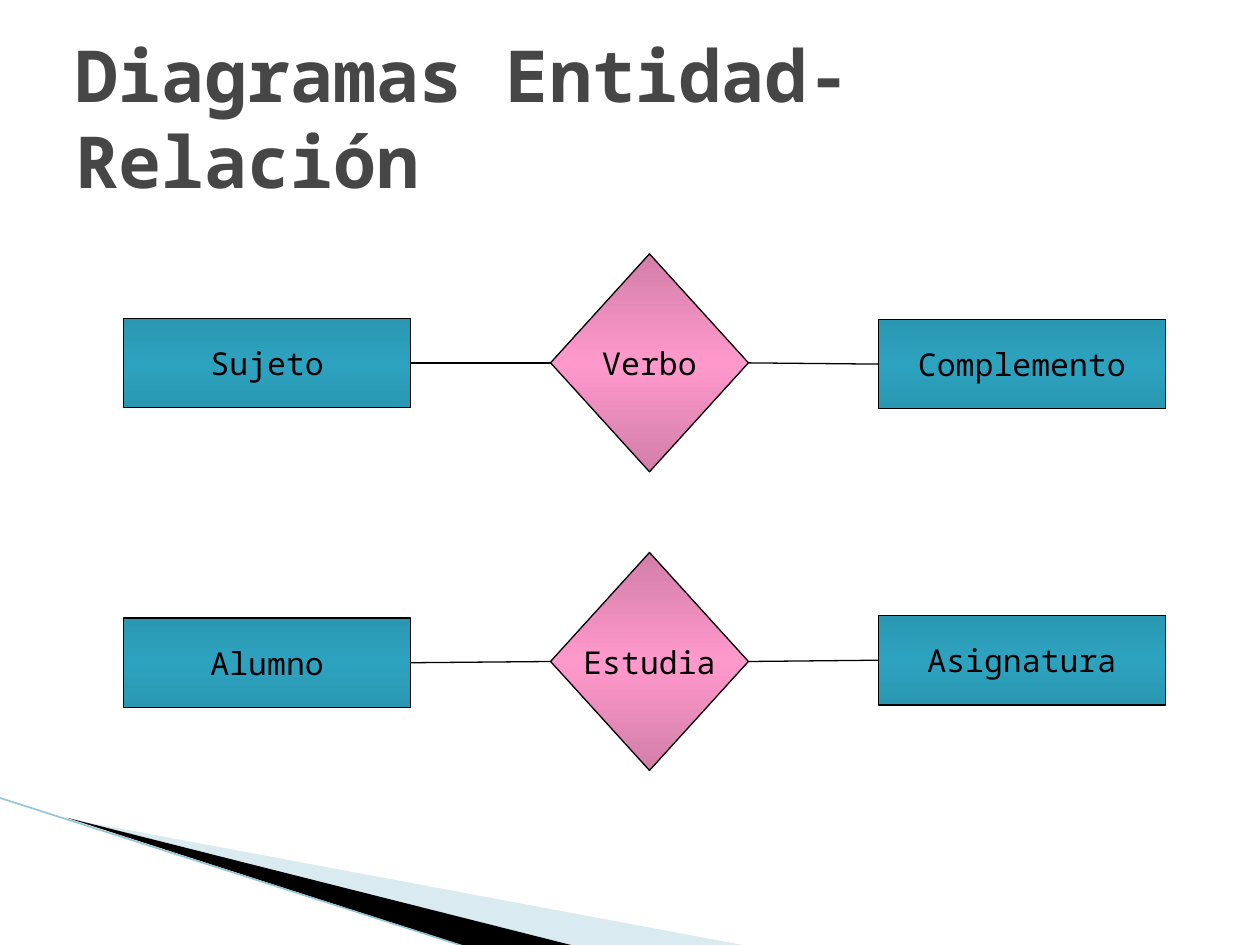
from copy import deepcopy
from dataclasses import dataclass

from lxml import etree
from pptx import Presentation
from pptx import util as u
from pptx.dml.color import RGBColor
from pptx.enum import shapes as es, text as et
from pptx.oxml.ns import qn

WIDE, HIGH = 10, 7.5
FONT = "Noto Sans Mono"
HUES = {
    "ink": "000000", "title": "464646", "pale": "A0CBDC", "edge": "97C5D8",
    "teal": "2DA2BF", "teal_rim": "2A98B3",
    "pink": "FF99CC", "pink_rim": "D27EA8",
}
LEFT, RIGHT = 1, 3


@dataclass(frozen=True)
class Kind:
    form: es.MSO_SHAPE
    wide: float
    high: float
    core: str
    rim: str


@dataclass(frozen=True)
class Node:
    word: str
    kind: Kind
    left: float
    mid: float


@dataclass(frozen=True)
class Wedge:
    dots: tuple
    hue: str
    alpha: int


BOX = Kind(es.MSO_SHAPE.RECTANGLE, 2.28, 0.71, "teal", "teal_rim")
GEM = Kind(es.MSO_SHAPE.DIAMOND, 1.57, 1.73, "pink", "pink_rim")
COLS = ((BOX, 0.98), (GEM, 4.37), (BOX, 6.97))
ROWS = (
    (("Sujeto", 2.88), ("Verbo", 2.88), ("Complemento", 2.89)),
    (("Alumno", 5.26), ("Estudia", 5.25), ("Asignatura", 5.24)),
)
WEDGES = (
    Wedge(((0.55, 6.5), (5.95, 7.51), (4.56, 7.51)), "pale", 40),
    Wedge(((0.53, 6.49), (4.57, 7.51), (3.72, 7.52)), "ink", 100),
)


def tint(name: str) -> RGBColor:
    return RGBColor.from_string(HUES[name])


def write(frame, word: str, size: float, hue: str, bold: bool, side) -> None:
    para = frame.paragraphs[0]
    para.alignment = side
    run = para.add_run()
    run.text = word
    run.font.name, run.font.size, run.font.bold = FONT, u.Pt(size), bold
    run.font.color.rgb = tint(hue)
    frame.vertical_anchor = et.MSO_ANCHOR.MIDDLE


def shade(fill, kind: Kind) -> None:
    fill.gradient()
    fill.gradient_angle = 270
    first, last = fill.gradient_stops
    first.color.rgb, first.position = tint(kind.rim), 0
    last.color.rgb, last.position = tint(kind.core), 0.5
    stops = fill._xPr.find(qn("a:gradFill")).find(qn("a:gsLst"))
    end = deepcopy(stops[0])
    end.set("pos", "100000")
    stops.append(end)


def place(tree, node: Node):
    kind = node.kind
    shape = tree.add_shape(
        kind.form, u.Inches(node.left), u.Inches(node.mid - kind.high / 2),
        u.Inches(kind.wide), u.Inches(kind.high))
    shape.shadow.inherit = False
    shade(shape.fill, kind)
    shape.line.color.rgb, shape.line.width = tint("ink"), u.Pt(0.75)
    shape.text_frame.word_wrap = False
    write(shape.text_frame, node.word, 18, "ink", False, et.PP_ALIGN.CENTER)
    return shape


def stroke(tree, start: tuple, stop: tuple, hue: str, width: float):
    line = tree.add_connector(
        es.MSO_CONNECTOR.STRAIGHT, *(u.Inches(n) for n in start + stop))
    line.line.color.rgb, line.line.width = tint(hue), u.Pt(width)
    etree.SubElement(line._element.spPr, qn("a:effectLst"))
    return line


def link(tree, one, two) -> None:
    line = stroke(tree, (0, 0), (1, 1), "ink", 0.75)
    line.begin_connect(one, RIGHT)
    line.end_connect(two, LEFT)


def carve(tree, wedge: Wedge) -> None:
    dots = [(u.Inches(x), u.Inches(y)) for x, y in wedge.dots]
    pen = tree.build_freeform(*dots[0])
    pen.add_line_segments(dots[1:], close=True)
    shape = pen.convert_to_shape()
    shape.shadow.inherit = False
    shape.fill.solid()
    shape.fill.fore_color.rgb = tint(wedge.hue)
    shape.line.fill.background()
    if wedge.alpha < 100:
        hue = shape._element.spPr.find(qn("a:solidFill"))[0]
        etree.SubElement(hue, qn("a:alpha"), val=str(wedge.alpha * 1000))


def main() -> None:
    deck = Presentation()
    deck.slide_width, deck.slide_height = u.Inches(WIDE), u.Inches(HIGH)
    slide = deck.slides.add_slide(deck.slide_layouts[5])
    tree = slide.shapes

    for wedge in WEDGES:
        carve(tree, wedge)
    stroke(tree, (-0.01, 6.33), (3.71, 7.52), "edge", 0.95)

    title = tree.title
    title.left, title.top = u.Inches(WIDE * 0.05), u.Inches(HIGH * 0.04)
    title.width, title.height = u.Inches(WIDE * 0.9), u.Inches(HIGH / 6)
    title.text_frame.auto_size = et.MSO_AUTO_SIZE.NONE
    title.text_frame.word_wrap = True
    write(title.text_frame, "Diagramas Entidad-Relación", 41, "title", True,
          et.PP_ALIGN.LEFT)

    for row in ROWS:
        group = tree.add_group_shape().shapes
        nodes = [place(group, Node(word, kind, left, mid))
                 for (word, mid), (kind, left) in zip(row, COLS)]
        for one, two in zip(nodes, nodes[1:]):
            link(group, one, two)

    deck.save("out.pptx")


main()
